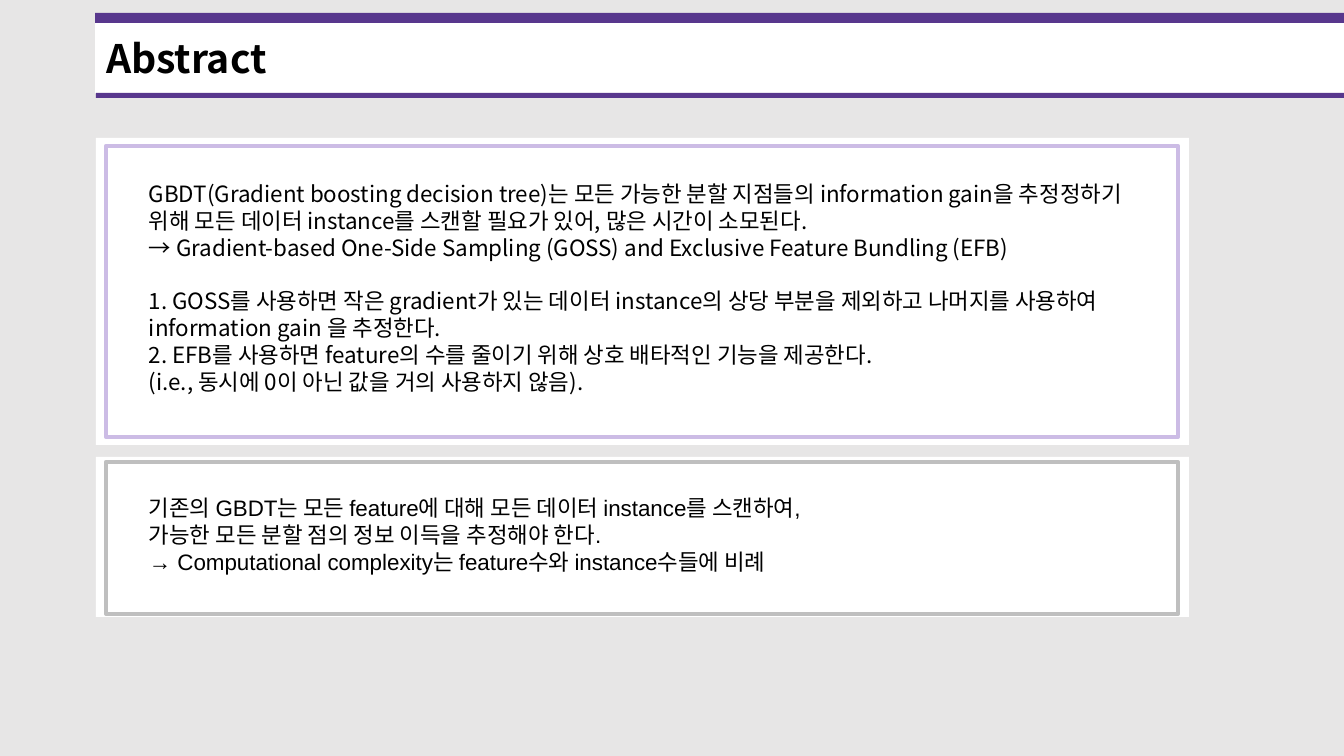
import pptx
import pptx.dml.color
import pptx.enum.shapes
import pptx.enum.text
import pptx.util
from lxml import etree

# Content
TITLE = "Abstract"
FONT = "Noto Sans CJK KR"
BACKGROUND, WHITE, PURPLE, BLACK = "E7E6E6", "FFFFFF", "58378D", "000000"

# Header bars: left, top, width, height (px), fill, line
BARS = [
    (96, 21, 1248, 72, WHITE, WHITE),
    (95, 13, 1249, 10, PURPLE, None),
    (96, 93, 1248, 5, PURPLE, None),
]

# Vertical extents are (top, height) in px; each paragraph is (text, space before in pt)
PANELS = [
    dict(card=(138, 307), frame=(146, 291), body=(175, 234), line="CCBCE5", font=FONT, paragraphs=[
        ("GBDT(Gradient boosting decision tree)는 모든 가능한 분할 지점들의 information gain을 "
         "추정정하기 위해 모든 데이터 instance를 스캔할 필요가 있어, 많은 시간이 소모된다.", 0),
        ("→ Gradient-based One-Side Sampling (GOSS) and Exclusive Feature Bundling (EFB)", 0),
        ("1. GOSS를 사용하면 작은 gradient가 있는 데이터 instance의 상당 부분을 제외하고 나머지를 "
         "사용하여 information gain 을 추정한다.", 19),
        ("2. EFB를 사용하면 feature의 수를 줄이기 위해 상호 배타적인 기능을 제공한다.", 0),
        ("(i.e., 동시에 0이 아닌 값을 거의 사용하지 않음).", 0),
    ]),
    dict(card=(457, 160), frame=(462, 152), body=(489, 92), line="BFBFBF", font="Arial", paragraphs=[
        ("기존의 GBDT는 모든 feature에 대해 모든 데이터 instance를 스캔하여,", 0),
        ("가능한 모든 분할 점의 정보 이득을 추정해야 한다.", 0),
        ("→ Computational complexity는 feature수와 instance수들에 비례", 0),
    ]),
]
CARD_X, FRAME_X, BODY_X = (96, 1093), (106, 1072), (139, 1006)  # left, width

EMU_PER_PX = 12192000 / 1344


def px(n):
    return pptx.util.Emu(round(n * EMU_PER_PX))


def rgb(color):
    return pptx.dml.color.RGBColor.from_string(color)


def box(x, y):
    return [px(n) for n in (x[0], y[0], x[1], y[1])]


def add_rect(slide, place, fill, line=None, weight=1):
    sp = slide.shapes.add_shape(pptx.enum.shapes.MSO_SHAPE.RECTANGLE, *place)
    sp.shadow.inherit = False
    sp.fill.solid()
    sp.fill.fore_color.rgb = rgb(fill)
    if line:
        sp.line.color.rgb = rgb(line)
        sp.line.width = pptx.util.Pt(weight)
    else:
        sp.line.fill.background()


def add_text(p, text, font, size, bold=False):
    p.alignment = pptx.enum.text.PP_ALIGN.LEFT
    r = p.add_run()
    r.text = text
    for name, value in dict(name=font, size=pptx.util.Pt(size), bold=bold).items():
        setattr(r.font, name, value)
    r.font.color.rgb = rgb(BLACK)
    ea = etree.SubElement(r.font._element, pptx.oxml.ns.qn("a:ea"))
    ea.set("typeface", FONT)


def main():
    prs = pptx.Presentation()
    prs.slide_width, prs.slide_height = px(1344), px(756)
    slide = prs.slides.add_slide(prs.slide_layouts[5])
    slide.background.fill.solid()
    slide.background.fill.fore_color.rgb = rgb(BACKGROUND)

    # Header
    for left, top, width, height, fill, line in BARS:
        add_rect(slide, box((left, width), (top, height)), fill, line)
    title = slide.shapes.title
    title.left, title.top, title.width, title.height = box((96, 1062), (29, 57))
    title.text_frame.vertical_anchor = pptx.enum.text.MSO_ANCHOR.MIDDLE
    add_text(title.text_frame.paragraphs[0], TITLE, FONT, 28, True)
    slide.shapes._spTree.append(title._element)  # in front of the bars

    # Panels
    for panel in PANELS:
        add_rect(slide, box(CARD_X, panel["card"]), WHITE)
        add_rect(slide, box(FRAME_X, panel["frame"]), WHITE, panel["line"], 3)
        tf = slide.shapes.add_textbox(*box(BODY_X, panel["body"])).text_frame
        tf.word_wrap = True
        for i, (text, space) in enumerate(panel["paragraphs"]):
            p = tf.add_paragraph() if i else tf.paragraphs[0]
            p.space_before = pptx.util.Pt(space)
            add_text(p, text, panel["font"], 16)

    prs.save("out.pptx")


if __name__ == "__main__":
    main()
